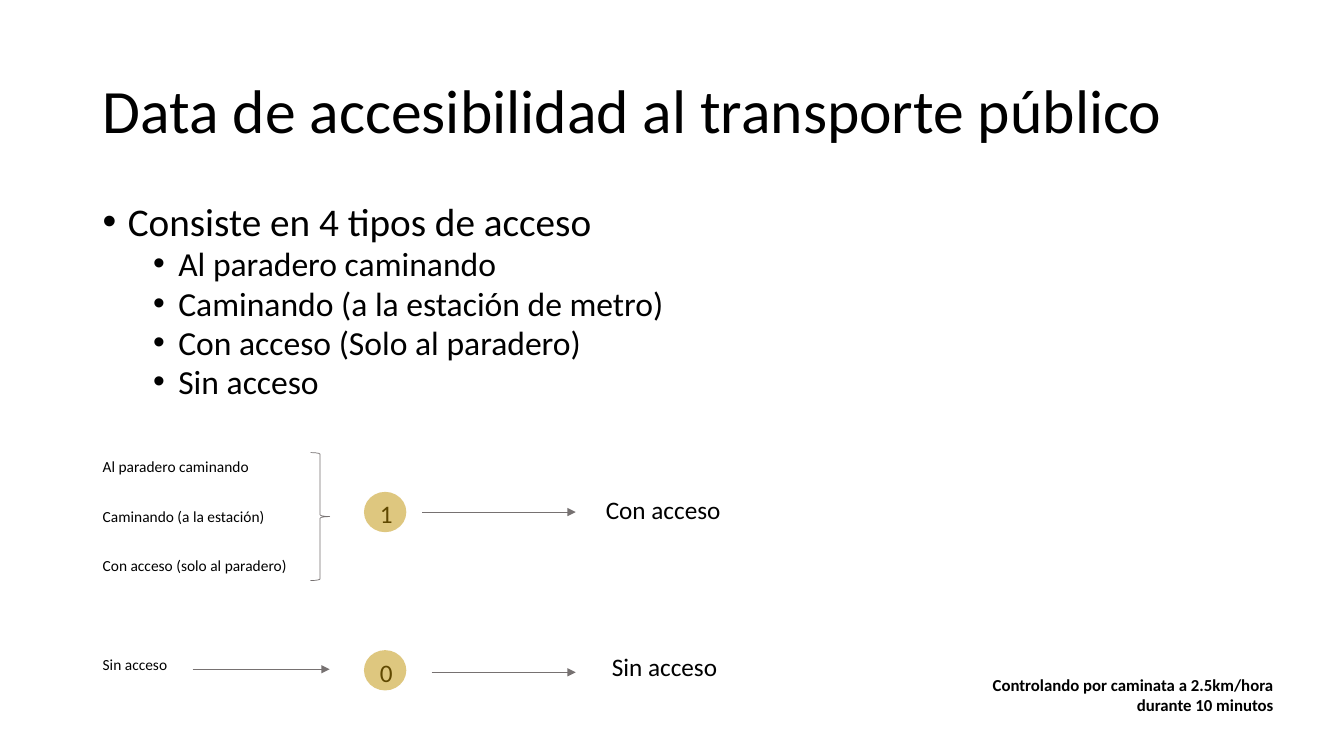
from lxml import etree
from pptx import Presentation
from pptx.dml.color import RGBColor
from pptx.enum import shapes, text
from pptx.oxml import ns
from pptx.util import Inches, Pt

TITLE = "Data de accesibilidad al transporte público"
ACCESS_TYPES = [
    (0, "Consiste en 4 tipos de acceso"),
    (1, "Al paradero caminando"),
    (1, "Caminando (a la estación de metro)"),
    (1, "Con acceso (Solo al paradero)"),
    (1, "Sin acceso"),
]
# level: (size, left margin, space before)
LEVELS = {0: (28, 0.25, 10), 1: (24, 0.75, 5)}
NOTE = "Controlando por caminata a 2.5km/hora durante 10 minutos"
# row on the label grid, width, label
CATEGORIES = [
    (0, 2.89, "Al paradero caminando"),
    (1, 2.89, "Caminando (a la estación)"),
    (2, 3.27, "Con acceso (solo al paradero)"),
    (4, 3.27, "Sin acceso"),
]
# code, its top, circle top, result, its left and top
RESULTS = [
    ("1", 4.89, 4.88, "Con acceso", 5.91, 4.85),
    ("0", 6.47, 6.45, "Sin acceso", 5.97, 6.41),
]
# start x, end x, y
ARROWS = [(1.91, 3.27, 6.64), (4.19, 5.71, 5.08), (4.28, 5.71, 6.67)]

FONT, BLACK, GRAY, GOLD = "Calibri", "000000", "767171", "BF9000"
LEFT, LABEL_TOP, LABEL_STEP, LABEL_HEIGHT = 0.92, 4.49, 0.49, 0.29

prs = Presentation()
prs.slide_width, prs.slide_height = Inches(13.33), Inches(7.5)
slide = prs.slides.add_slide(prs.slide_layouts[6])


def color(hex_value):
    return RGBColor.from_string(hex_value)


def child(parent, tag, **attributes):
    return etree.SubElement(parent, ns.qn(tag), attributes)


def style(paragraph, size, bold=False):
    font = paragraph.font
    font.name, font.size, font.bold = FONT, Pt(size), bold
    font.color.rgb = color(BLACK)


def add_text(words, left, top, width, height, size=18, bold=False,
             align=text.PP_ALIGN.LEFT, anchor=text.MSO_ANCHOR.TOP, spacing=None):
    box = slide.shapes.add_textbox(*map(Inches, (left, top, width, height)))
    frame = box.text_frame
    frame.word_wrap, frame.vertical_anchor = True, anchor
    paragraph = frame.paragraphs[0]
    paragraph.text, paragraph.alignment = words, align
    paragraph.line_spacing = spacing
    style(paragraph, size, bold)
    return frame


def add_bullets(frame, items):
    for index, (level, words) in enumerate(items):
        size, margin, before = LEVELS[level]
        paragraph = frame.add_paragraph() if index else frame.paragraphs[0]
        paragraph.text, paragraph.level = words, level
        paragraph.line_spacing = 0.8
        paragraph.space_before = Pt(before if index else 0)
        properties = paragraph._p.get_or_add_pPr()
        properties.set("marL", str(Inches(margin)))
        properties.set("indent", str(Inches(-0.25)))
        child(properties, "a:buFont", typeface="Arial")
        child(properties, "a:buChar", char="•")
        style(paragraph, size)


def add_arrow(start, end, y):
    arrow = slide.shapes.add_connector(
        shapes.MSO_CONNECTOR.STRAIGHT, *map(Inches, (start, y, end, y)))
    arrow.line.color.rgb, arrow.line.width = color(GRAY), Pt(0.5)
    child(arrow.line._get_or_add_ln(), "a:tailEnd", type="triangle")
    child(arrow._element.spPr, "a:effectLst")


def add_shape(kind, left, top, width, height):
    shape = slide.shapes.add_shape(kind, *map(Inches, (left, top, width, height)))
    shape.shadow.inherit = False
    return shape


def add_circle(top):
    circle = add_shape(shapes.MSO_SHAPE.OVAL, 3.61, top, 0.42, 0.4)
    circle.fill.solid()
    circle.fill.fore_color.rgb = color(GOLD)
    circle.line.fill.background()
    tint = circle._element.spPr.find(".//" + ns.qn("a:srgbClr"))
    child(tint, "a:alpha", val="50000")


add_text(TITLE, LEFT, 0.4, 11.5, 1.45, size=44,
         anchor=text.MSO_ANCHOR.MIDDLE, spacing=0.9)
add_bullets(add_text("", LEFT, 2, 11.5, 2.13), ACCESS_TYPES)
add_text(NOTE, 9.25, 6.64, 3.48, 0.5, size=12, bold=True, align=text.PP_ALIGN.RIGHT)

for row, width, label in CATEGORIES:
    add_text(label, LEFT, LABEL_TOP + row * LABEL_STEP, width, LABEL_HEIGHT, size=11)

brace = add_shape(shapes.MSO_SHAPE.RIGHT_BRACE, 3.08, LABEL_TOP, 0.19,
                  2 * LABEL_STEP + LABEL_HEIGHT)
brace.fill.background()
brace.line.color.rgb, brace.line.width = color(GRAY), Pt(0.5)

for code, code_top, circle_top, result, result_left, result_top in RESULTS:
    add_text(code, 3.67, code_top, 0.26, 0.4)
    add_circle(circle_top)
    add_text(result, result_left, result_top, 1.85, 0.4)

for arrow_ends in ARROWS:
    add_arrow(*arrow_ends)

prs.save("out.pptx")
